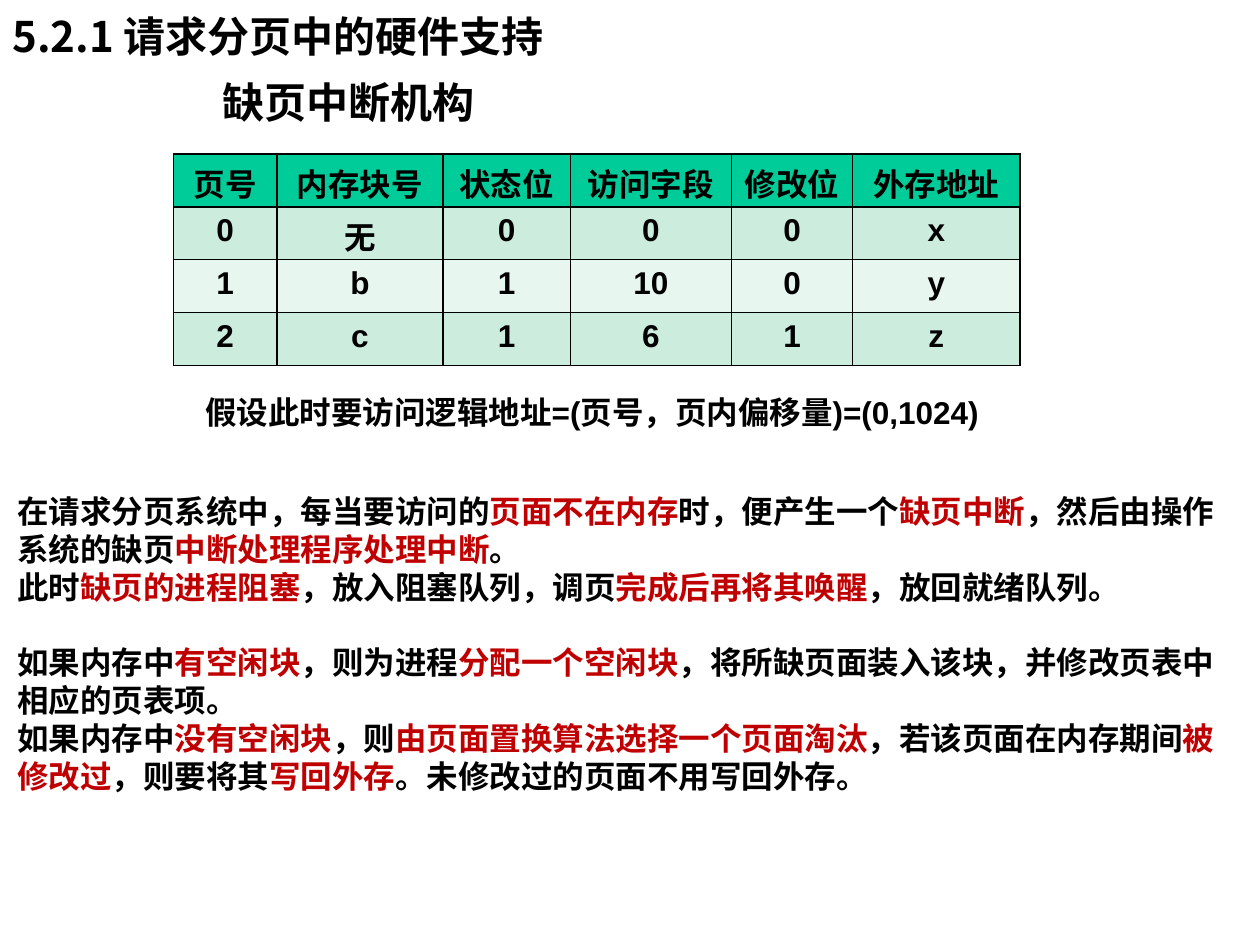
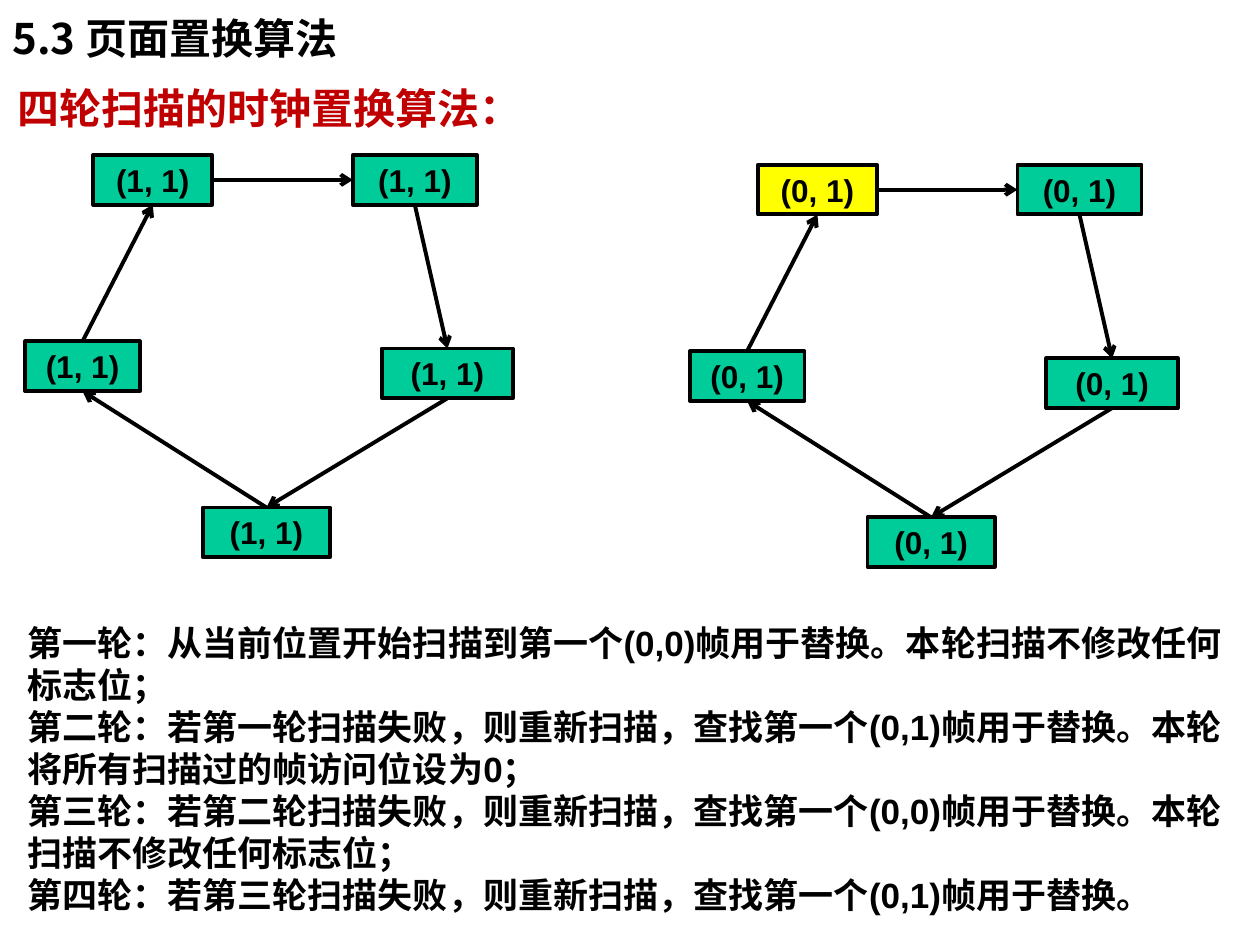
from dataclasses import dataclass

from lxml.etree import SubElement
from pptx import Presentation
from pptx.dml.color import RGBColor as Rgb
from pptx.enum.shapes import MSO_CONNECTOR as Connector, MSO_SHAPE as Shape
from pptx.enum.text import MSO_ANCHOR as Anchor, PP_ALIGN as Align
from pptx.oxml.ns import qn
from pptx.util import Pt


@dataclass(frozen=True)
class Theme:
    """Colours, fonts and type sizes shared by the slides."""
    ink: str = "000000"
    accent: str = "C00000"
    green: str = "00CC99"
    current: str = "FFFF00"
    bands: tuple = ("CCECDE", "E7F6EF")
    latin: str = "Arial"
    chinese: str = "Noto Sans CJK SC"
    heading: int = 24
    rounds: int = 20
    body: int = 18
    leading: float = 1.2
    drop: float = 0.11
    outline: float = 2.25


THEME = Theme()

PAGE_TABLE = (
    ("页号", "内存块号", "状态位", "访问字段", "修改位", "外存地址"),
    ("0", "无", "0", "0", "0", "x"),
    ("1", "b", "1", "10", "0", "y"),
    ("2", "c", "1", "6", "1", "z"),
)
COLUMN_WIDTHS = (59, 95, 72.7, 92.2, 69.1, 95.8)

FAULT_HANDLING = (
    "在请求分页系统中，每当要访问的|页面不在内存|时，便产生一个|缺页中断|，然后由操作系统的缺页|中断处理程序处理中断|。",
    "此时|缺页的进程阻塞|，放入阻塞队列，调页|完成后再将其唤醒|，放回就绪队列。",
    "如果内存中|有空闲块|，则为进程|分配一个空闲块|，将所缺页面装入该块，并修改页表中相应的页表项。",
    "如果内存中|没有空闲块|，则|由页面置换算法选择一个页面淘汰|，若该页面在内存期间|被修改过|，则要将其|写回外存|。未修改过的页面不用写回外存。",
)

SCAN_ROUNDS = (
    "第一轮：从当前位置开始扫描到第一个(0,0)帧用于替换。本轮扫描不修改任何标志位；",
    "第二轮：若第一轮扫描失败，则重新扫描，查找第一个(0,1)帧用于替换。本轮将所有扫描过的帧访问位设为0；",
    "第三轮：若第二轮扫描失败，则重新扫描，查找第一个(0,0)帧用于替换。本轮扫描不修改任何标志位；",
    "第四轮：若第三轮扫描失败，则重新扫描，查找第一个(0,1)帧用于替换。",
)

FRAME_HEIGHT = 28.4
FRAMES = {
    "left": (0, 106.5, 65.5),
    "top_left": (38.9, 0, 68),
    "top_right": (187.2, 0, 70.9),
    "right": (203.8, 110.6, 75),
    "bottom": (101.5, 201.4, 72.7),
}
SCAN_ORDER = (
    ("left", 0, "top_left", 2),
    ("top_left", 3, "top_right", 1),
    ("top_right", 2, "right", 0),
    ("right", 2, "bottom", 0),
    ("bottom", 0, "left", 2),
)


def add_words(paragraph, words, size, color=THEME.ink, latin=THEME.latin):
    """Add one bold run with its Latin and Chinese fonts."""
    run = paragraph.add_run()
    run.text = words
    font = run.font
    font.size, font.bold, font.name = Pt(size), True, latin
    font.color.rgb = Rgb.from_string(color)
    SubElement(font._element, qn("a:ea"), typeface=THEME.chinese)


def add_frame(slide, left, top, width, height, wrap=True):
    """Add an empty text box and return its text frame."""
    frame = slide.shapes.add_textbox(Pt(left), Pt(top), Pt(width), Pt(height)).text_frame
    frame.word_wrap = wrap
    return frame


def add_heading(slide, words, left, top, width, height):
    """Add a heading centred vertically in its box."""
    frame = add_frame(slide, left, top, width, height)
    frame.vertical_anchor = Anchor.MIDDLE
    add_words(frame.paragraphs[0], words, THEME.heading, latin=THEME.chinese)


def add_prose(slide, paragraphs, left, top, width, height, size,
              colors=(THEME.ink, THEME.accent), gap_before=None, wrap=True):
    """Add paragraphs whose parts between bars alternate in colour."""
    frame = add_frame(slide, left, top + THEME.drop * size, width, height, wrap)
    for index, text in enumerate(paragraphs):
        paragraph = frame.add_paragraph() if index else frame.paragraphs[0]
        paragraph.line_spacing = Pt(size * THEME.leading)
        if index == gap_before:
            paragraph.space_before = Pt(size * THEME.leading)
        for part, words in enumerate(text.split("|")):
            add_words(paragraph, words, size, colors[part % 2])


def style_cell(cell, words, fill):
    """Fill, border and label one table cell."""
    properties = cell._tc.get_or_add_tcPr()
    for side in ("lnL", "lnR", "lnT", "lnB"):
        border = SubElement(properties, qn(f"a:{side}"), w=str(Pt(1)))
        SubElement(SubElement(border, qn("a:solidFill")), qn("a:srgbClr"), val=THEME.ink)
    cell.fill.solid()
    cell.fill.fore_color.rgb = Rgb.from_string(fill)
    paragraph = cell.text_frame.paragraphs[0]
    paragraph.alignment = Align.CENTER
    add_words(paragraph, words, THEME.body)


def add_page_table(slide, left, top, row_height):
    """Add the page table with a green header and banded rows."""
    table = slide.shapes.add_table(
        len(PAGE_TABLE), len(COLUMN_WIDTHS), Pt(left), Pt(top),
        Pt(sum(COLUMN_WIDTHS)), Pt(row_height * len(PAGE_TABLE))).table
    for column, width in zip(table.columns, COLUMN_WIDTHS):
        column.width = Pt(width)
    for row, entries in enumerate(PAGE_TABLE):
        table.rows[row].height = Pt(row_height)
        fill = THEME.bands[(row - 1) % 2] if row else THEME.green
        for column, words in enumerate(entries):
            style_cell(table.cell(row, column), words, fill)


def add_page_frame(slide, label, left, top, width, fill):
    """Add one labelled frame of the clock."""
    page_frame = slide.shapes.add_shape(
        Shape.RECTANGLE, Pt(left), Pt(top), Pt(width), Pt(FRAME_HEIGHT))
    page_frame.shadow.inherit = False
    page_frame.fill.solid()
    page_frame.fill.fore_color.rgb = Rgb.from_string(fill)
    page_frame.line.color.rgb = Rgb.from_string(THEME.ink)
    page_frame.line.width = Pt(THEME.outline)
    text = page_frame.text_frame
    text.word_wrap = False
    text.vertical_anchor = Anchor.MIDDLE
    text.paragraphs[0].alignment = Align.CENTER
    add_words(text.paragraphs[0], label, THEME.body)
    return page_frame


def add_scan_arrow(slide, start, start_side, end, end_side):
    """Join two frames with an arrow in scan direction."""
    arrow = slide.shapes.add_connector(Connector.STRAIGHT, 0, 0, 0, 0)
    arrow.begin_connect(start, start_side)
    arrow.end_connect(end, end_side)
    arrow.line.color.rgb = Rgb.from_string(THEME.ink)
    arrow.line.width = Pt(THEME.outline)
    SubElement(arrow.line._get_or_add_ln(), qn("a:tailEnd"), type="arrow")
    SubElement(arrow._element.spPr, qn("a:effectLst"))


def add_clock(slide, label, left, top, current=None):
    """Add a ring of frames, with the current one highlighted."""
    ring = {
        place: add_page_frame(slide, label, left + x, top + y, width,
                              THEME.current if place == current else THEME.green)
        for place, (x, y, width) in FRAMES.items()
    }
    for start, start_side, end, end_side in SCAN_ORDER:
        add_scan_arrow(slide, ring[start], start_side, ring[end], end_side)


def build_page_fault(slide):
    """Build the slide on the page fault mechanism."""
    add_heading(slide, "5.2.1 请求分页中的硬件支持", 0, 3.6, 354, 34)
    add_heading(slide, "缺页中断机构", 120, 37.3, 300, 42)
    add_page_table(slide, 99.2, 88, 30.2)
    add_prose(slide, ["假设此时要访问逻辑地址=(页号，页内偏移量)=(0,1024)"],
              110.2, 218.9, 482, 29, THEME.body, wrap=False)
    add_prose(slide, FAULT_HANDLING, 2.9, 275.8, 715.7, 181.4, THEME.body, gap_before=2)


def build_clock_scan(slide):
    """Build the slide on the four-round clock algorithm."""
    add_heading(slide, "5.3 页面置换算法", 0, 3.6, 612, 36)
    add_prose(slide, ["四轮扫描的时钟置换算法："], 2.9, 41, 295, 36,
              THEME.heading, colors=(THEME.accent,), wrap=False)
    add_clock(slide, "(1, 1)", 14.4, 88.6)
    add_clock(slide, "(0, 1)", 394.2, 94.2, current="top_left")
    add_prose(slide, SCAN_ROUNDS, 8.6, 349.2, 701.3, 177, THEME.rounds)


def main():
    """Build and save the presentation."""
    deck = Presentation()
    deck.slide_width, deck.slide_height = Pt(720), Pt(540)
    for build in (build_page_fault, build_clock_scan):
        build(deck.slides.add_slide(deck.slide_layouts[6]))
    deck.save("out.pptx")


if __name__ == "__main__":
    main()
